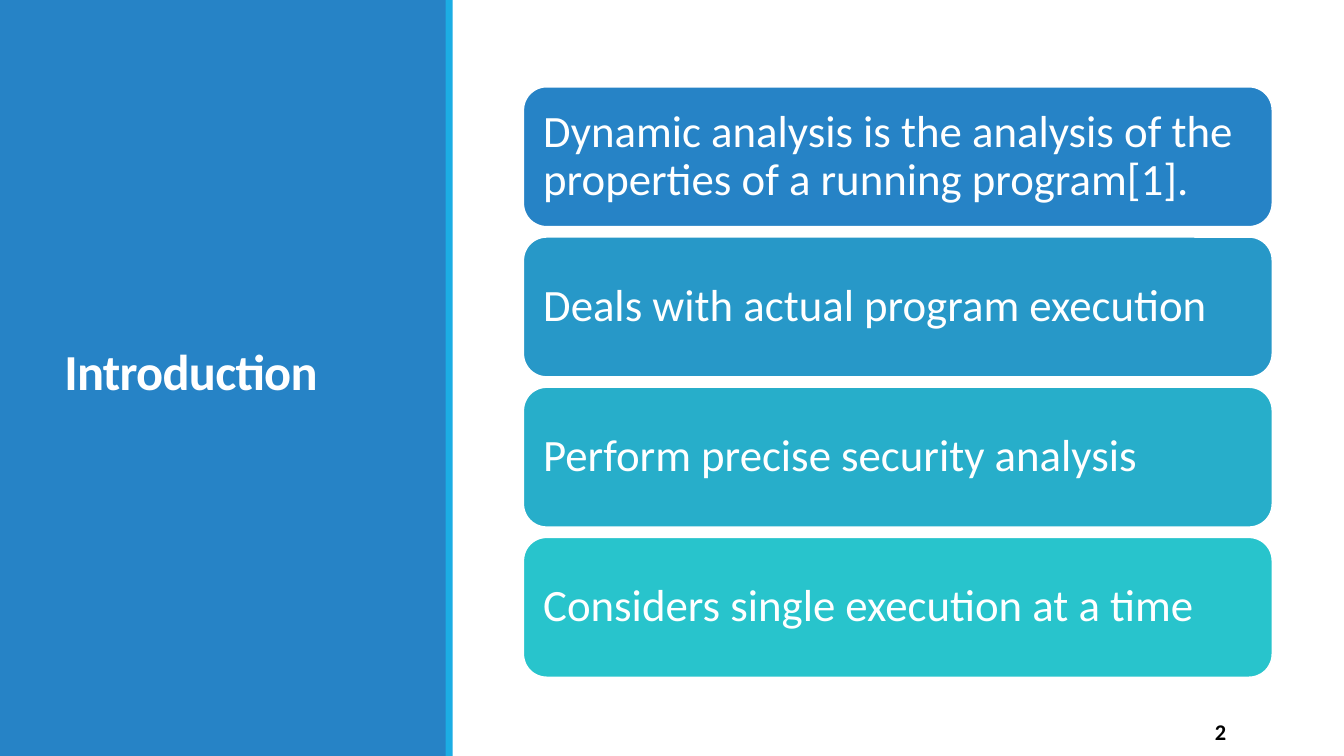
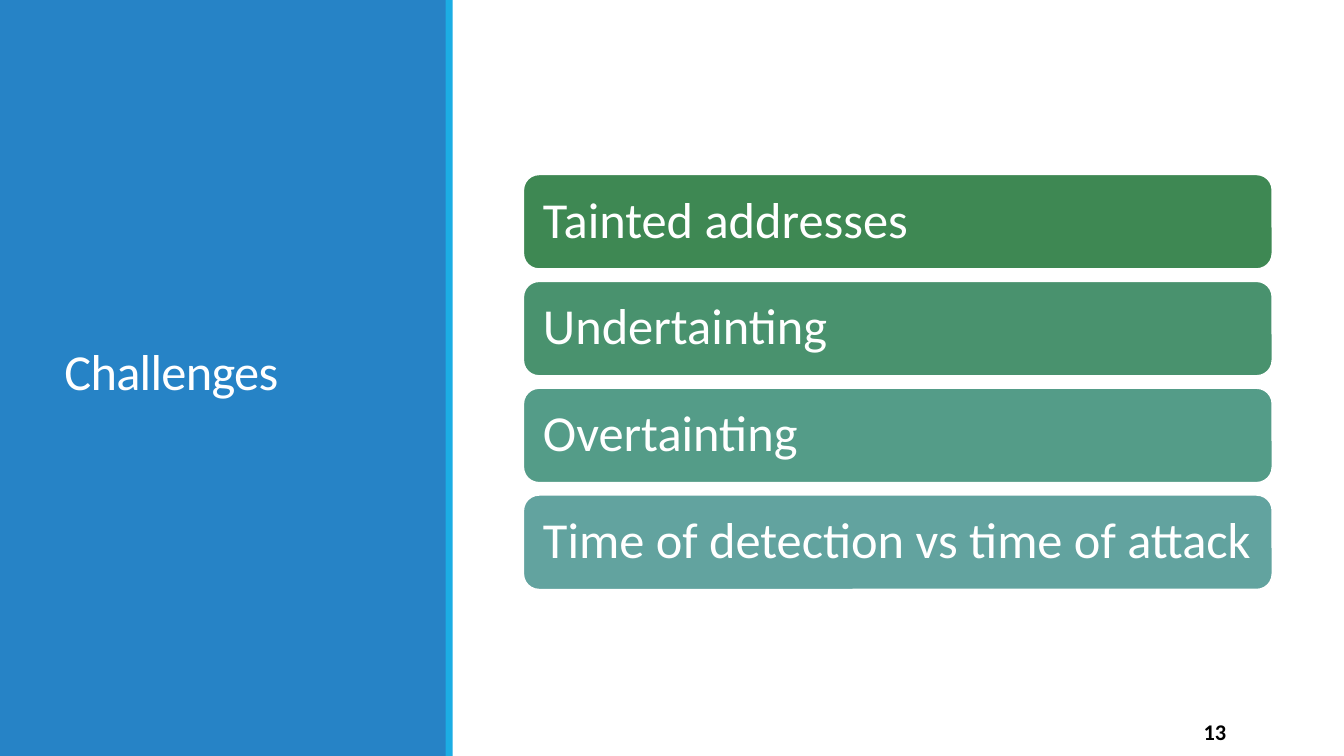
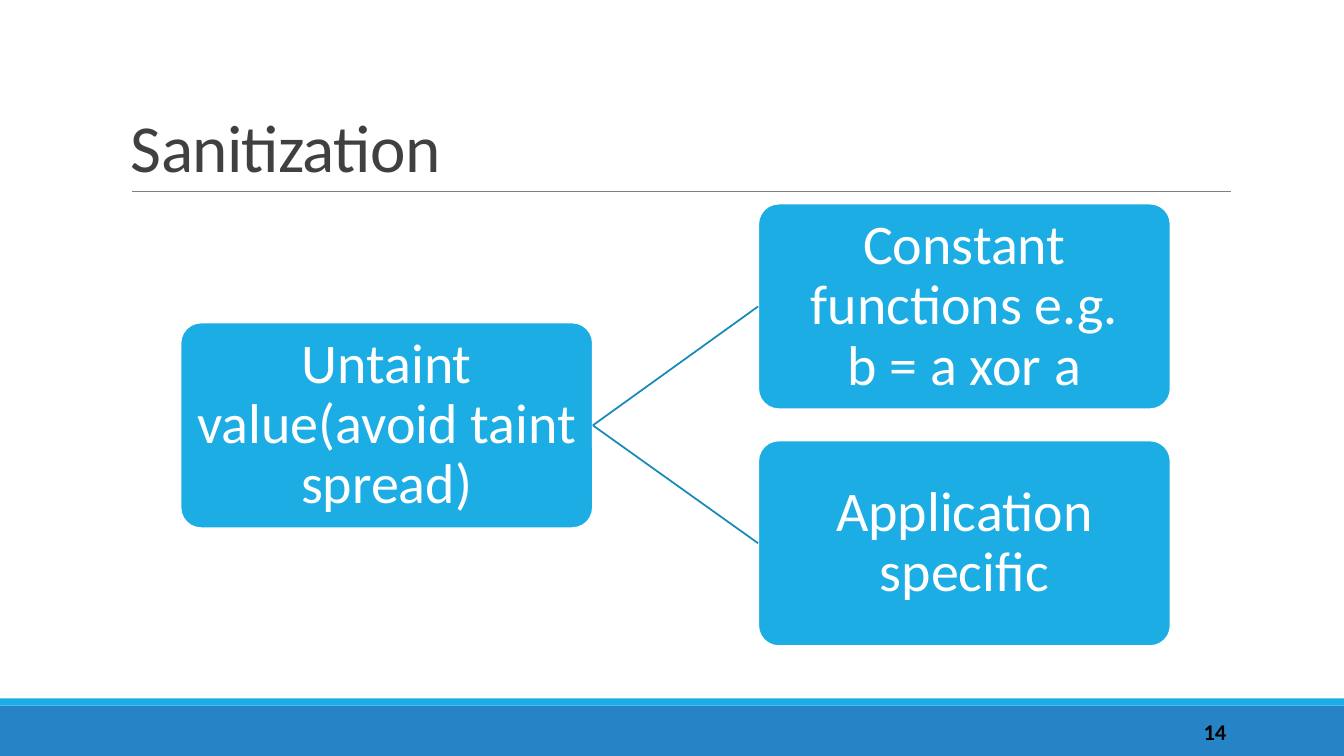
from lxml.etree import SubElement
from pptx import Presentation
from pptx.dml.color import RGBColor
from pptx.enum.shapes import MSO_CONNECTOR as Connector, MSO_SHAPE as Preset
from pptx.enum.text import MSO_ANCHOR as Anchor, PP_ALIGN as Align
from pptx.oxml.ns import qn
from pptx.util import Inches, Pt


def rgb(value):
    return RGBColor.from_string(value)


def apply(target, formats):
    for name, value in formats.items():
        setattr(target, name, value)


class SlideBuilder:
    """Holds the shared style and draws elements on the current slide."""

    FONT = "Calibri"
    BLUE, CYAN, LINK = "2683C6", "1CADE4", "168BB7"
    WHITE, BLACK, TITLE_GREY, RULE_GREY = "FFFFFF", "000000", "404040", "808080"
    WIDTH, HEIGHT = 13.33, 7.5

    def __init__(self):
        self.deck = Presentation()
        apply(self.deck, {"slide_width": Inches(self.WIDTH),
                          "slide_height": Inches(self.HEIGHT)})
        self.page = None

    def new_page(self, number):
        self.page = self.deck.slides.add_slide(self.deck.slide_layouts[6])
        background = self.page.background.fill
        background.solid()
        background.fore_color.rgb = rgb(self.WHITE)
        self.number = number

    def set_text(self, shape, text, size, color, align=Align.LEFT, anchor=Anchor.MIDDLE,
                 spacing=1.0, bold=False, inset=None, tracking=None):
        frame = shape.text_frame
        apply(frame, {"word_wrap": True, "vertical_anchor": anchor})
        if inset is not None:
            sides = ("left", "top", "right", "bottom")
            apply(frame, {f"margin_{side}": Inches(inset) for side in sides})
        para = frame.paragraphs[0]
        apply(para, {"text": text, "alignment": align, "line_spacing": spacing})
        for span in para.runs:
            apply(span.font, {"name": self.FONT, "size": Pt(size), "bold": bold})
            span.font.color.rgb = rgb(color)
            if tracking is not None:
                span._r.get_or_add_rPr().set("spc", str(round(tracking * 100)))

    def text(self, area, text, size, color, **formats):
        box = self.page.shapes.add_textbox(*map(Inches, area))
        self.set_text(box, text, size, color, **formats)

    def shape(self, preset, area, fill):
        shape = self.page.shapes.add_shape(preset, *map(Inches, area))
        shape.shadow.inherit = False
        shape.fill.solid()
        shape.fill.fore_color.rgb = rgb(fill)
        shape.line.fill.background()
        return shape

    def card(self, area, fill, text, size, inset, align=Align.LEFT, rounding=None):
        card = self.shape(Preset.ROUNDED_RECTANGLE, area, fill)
        if rounding is not None:
            card.adjustments[0] = rounding
        card.line.color.rgb = rgb(self.WHITE)
        card.line.width = Pt(1.25)
        self.set_text(card, text, size, self.WHITE, align=align, spacing=0.9, inset=inset)
        return card

    def line(self, start, end, color, width):
        line = self.page.shapes.add_connector(
            Connector.STRAIGHT, *map(Inches, (*start, *end)))
        line.line.color.rgb = rgb(color)
        line.line.width = Pt(width)
        SubElement(line._element.spPr, qn("a:effectLst"))
        return line

    def link(self, parent, child):
        line = self.line((0, 0), (1, 1), self.LINK, 1.25)
        line.begin_connect(parent, 3)
        line.end_connect(child, 1)

    def title(self, area, text, size, color, **formats):
        self.text(area, text, size, color, spacing=0.85, tracking=-0.5, **formats)

    def page_number(self):
        self.text((10.83, 7.06, 1.43, 0.4), str(self.number), 16, self.BLACK,
                  align=Align.RIGHT, bold=True)

    def sidebar_page(self, number, title, bold=False):
        self.new_page(number)
        self.shape(Preset.RECTANGLE, (0, 0, 4.43, self.HEIGHT), self.BLUE)
        self.title((0.54, 0.57, 3.37, 6.31), title, 36, self.WHITE, bold=bold)
        self.shape(Preset.RECTANGLE, (4.42, 0, 0.07, self.HEIGHT), self.CYAN)
        self.page_number()

    def banded_page(self, number, title):
        self.new_page(number)
        self.shape(Preset.RECTANGLE, (0, 7, self.WIDTH, 0.5), self.BLUE)
        self.shape(Preset.RECTANGLE, (0, 6.93, self.WIDTH, 0.07), self.CYAN)
        self.line((1.31, 1.9), (12.21, 1.9), self.RULE_GREY, 0.5)
        self.title((1.2, 0.31, 11, 1.59), title, 48, self.TITLE_GREY,
                   anchor=Anchor.BOTTOM)
        self.page_number()

    def card_list(self, top, height, pitch, size, inset, cards):
        for row, (text, fill) in enumerate(cards):
            area = (5.19, top + row * pitch, 7.43, height)
            self.card(area, fill, text, size, inset)

    def node(self, left, top, text):
        return self.card((left, top, 4.09, 2.04), self.CYAN, text, 40, 0.03,
                         align=Align.CENTER, rounding=0.1)


builder = SlideBuilder()

builder.sidebar_page(2, "Introduction", bold=True)
builder.card_list(0.86, 1.39, 1.49, 32, 0.13, [
    ("Dynamic analysis is the analysis of the properties of a running program[1].",
     "2683C6"),
    ("Deals with actual program execution", "2798C8"),
    ("Perform precise security analysis", "27AECA"),
    ("Considers single execution at a time", "28C4CC"),
])

builder.sidebar_page(13, "Challenges")
builder.card_list(1.73, 0.94, 1.06, 36, 0.15, [
    ("Tainted addresses", "3E8853"),
    ("Undertainting", "49926E"),
    ("Overtainting", "549C88"),
    ("Time of detection vs time of attack", "62A39F"),
])

builder.banded_page(14, "Sanitization")
untaint = builder.node(1.79, 3.2, "Untaint value(avoid taint spread)")
remedies = ["Constant functions e.g.\nb = a xor a", "Application specific"]
for row, remedy in enumerate(remedies):
    builder.link(untaint, builder.node(7.52, 2.02 + row * 2.35, remedy))

builder.deck.save("out.pptx")
